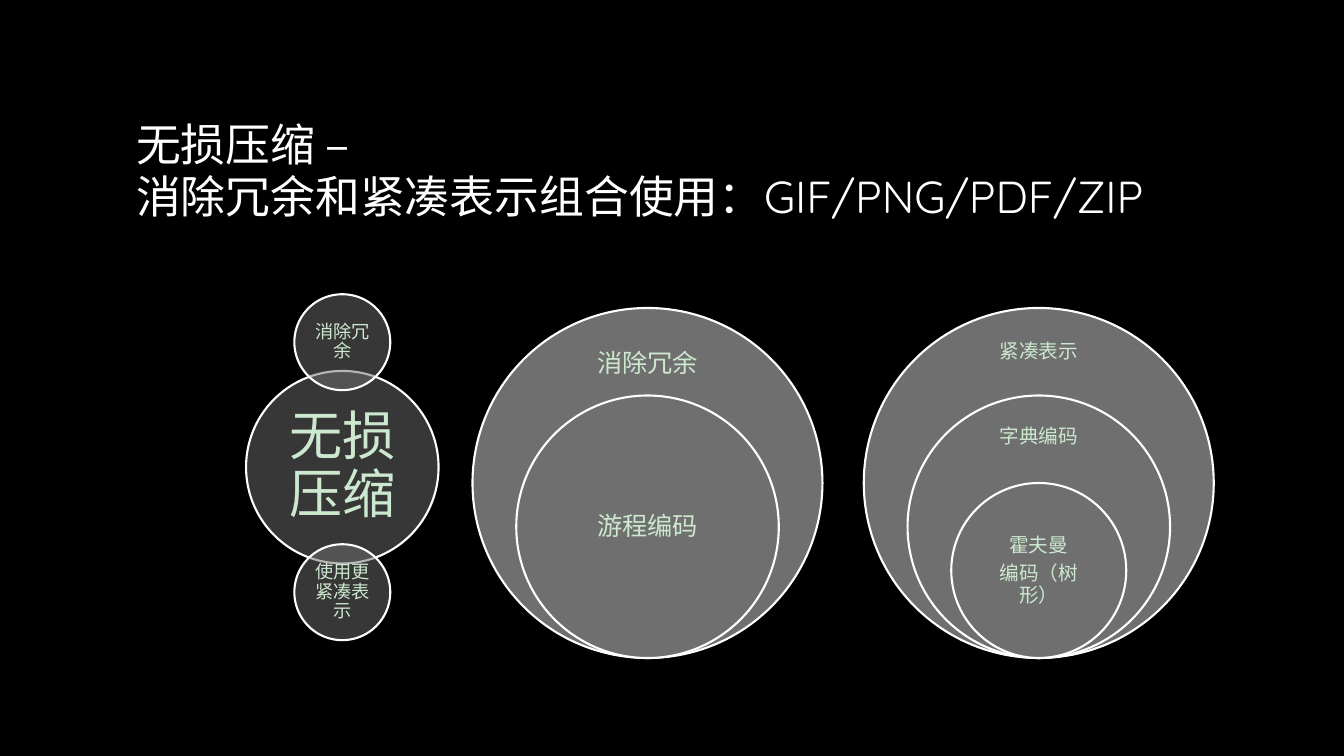
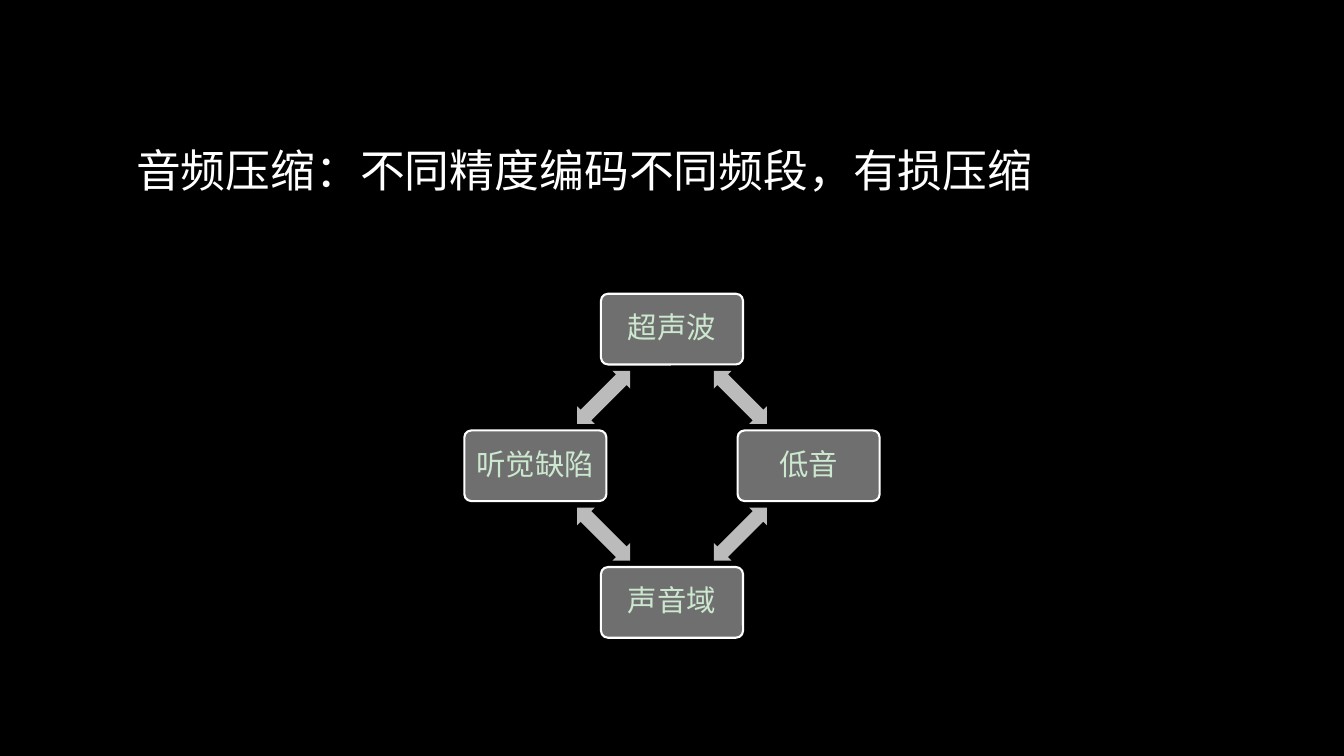
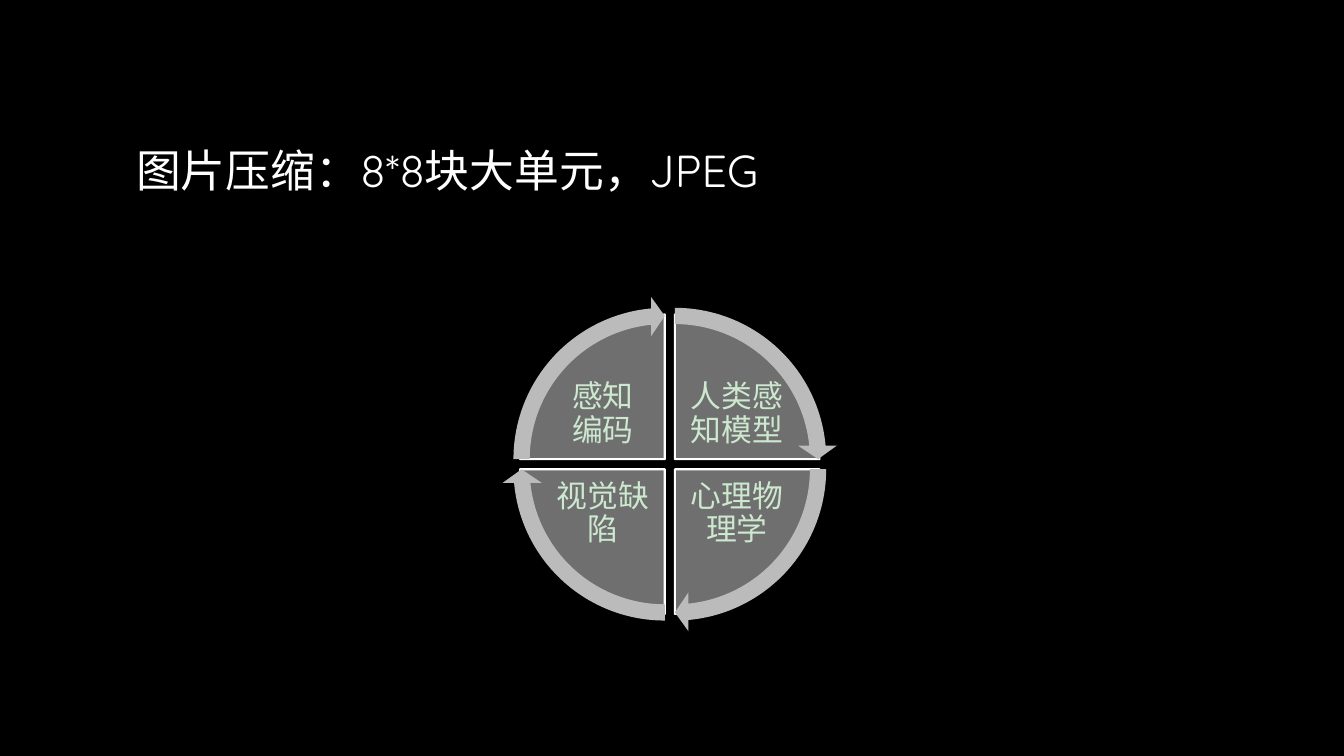
from math import cos, pi, sin

from lxml.etree import SubElement
from pptx import Presentation
from pptx.dml.color import RGBColor
from pptx.enum.shapes import MSO_SHAPE
from pptx.enum.text import MSO_ANCHOR, MSO_AUTO_SIZE, PP_ALIGN
from pptx.oxml.ns import qn
from pptx.util import Inches, Pt

BLACK = RGBColor(0x00, 0x00, 0x00)
WHITE = RGBColor(0xFF, 0xFF, 0xFF)
MINT = RGBColor(0xCC, 0xE8, 0xCF)
GRAY = RGBColor(0x6F, 0x6F, 0x6F)
SILVER = RGBColor(0xBB, 0xBB, 0xBB)
FONT = "Quicksand"

COLUMNS, ROWS = 96, 54
CELL = Inches(7.5) / ROWS
FULL_TURN = 216
QUARTER = FULL_TURN / 4


def cells(count):
    return round(count * CELL)


def frame_around(center_x, center_y, width, height):
    return (cells(center_x - width / 2), cells(center_y - height / 2),
            cells(width), cells(height))


def write(text_frame, text, *, size, color, align, spacing, after=0):
    text_frame.word_wrap = True
    text_frame.vertical_anchor = MSO_ANCHOR.MIDDLE
    text_frame.text = text
    for para in text_frame.paragraphs:
        para.alignment = align
        para.line_spacing = spacing
        para.space_after = Pt(after)
        for span in para.runs:
            span.font.name = FONT
            span.font.size = Pt(size)
            span.font.color.rgb = color


def add_shape(page, kind, center_x, center_y, width, height, *, fill=GRAY,
              outlined=True, alpha=None, rotation=0, adjustments=()):
    shape = page.shapes.add_shape(
        kind, *frame_around(center_x, center_y, width, height))
    shape.shadow.inherit = False
    shape.rotation = rotation
    for index, value in enumerate(adjustments):
        shape.adjustments[index] = value
    shape.fill.solid()
    shape.fill.fore_color.rgb = fill
    if alpha is not None:
        color = shape.fill._xPr.find(f"{qn('a:solidFill')}/{qn('a:srgbClr')}")
        SubElement(color, qn("a:alpha"), val=str(alpha * 1000))
    if outlined:
        shape.line.color.rgb = WHITE
        shape.line.width = Pt(1.5)
    else:
        shape.line.fill.background()


def add_label(page, text, center_x, center_y, width, height, *, size, inset):
    box = page.shapes.add_textbox(
        *frame_around(center_x, center_y, width, height))
    text_frame = box.text_frame
    text_frame.margin_left = text_frame.margin_right = cells(inset)
    text_frame.margin_top = text_frame.margin_bottom = cells(inset)
    write(text_frame, text, size=size, color=MINT, align=PP_ALIGN.CENTER,
          spacing=0.9, after=0.35 * size)


def add_page(deck, title):
    page = deck.slides.add_slide(deck.slide_layouts.get_by_name("Title Only"))
    box = page.shapes.title
    box.left, box.top = cells(9), cells(4.8)
    box.width, box.height = cells(78), cells(15)
    box.text_frame.auto_size = MSO_AUTO_SIZE.NONE
    write(box.text_frame, title, size=32, color=WHITE, align=PP_ALIGN.LEFT,
          spacing=0.95)
    return page


def add_venn_stack(page, center_x, center_y, circles):
    for text, offset, diameter, label_side, size, inset in circles:
        middle = center_y + offset
        add_shape(page, MSO_SHAPE.OVAL, center_x, middle, diameter, diameter,
                  alpha=50)
        add_label(page, text, center_x, middle, label_side, label_side,
                  size=size, inset=inset)


def add_nested_circles(page, center_x, layers, *, size, inset):
    bottom, outer = 47, 25
    for level, (text, label_y, width, height) in enumerate(layers):
        diameter = outer * (1 - level / 4)
        add_shape(page, MSO_SHAPE.OVAL, center_x, bottom - diameter / 2,
                  diameter, diameter)
        add_label(page, text, center_x, label_y, width, height,
                  size=size, inset=inset)


def add_diamond_cycle(page, center_x, center_y, names):
    reach = 9.76
    for index, name in enumerate(names):
        angle = (index - 1) * pi / 2
        node_x = center_x + reach * cos(angle)
        node_y = center_y + reach * sin(angle)
        add_shape(page, MSO_SHAPE.ROUNDED_RECTANGLE, node_x, node_y,
                  10.15, 5.05, adjustments=[0.1])
        add_label(page, name, node_x, node_y, 9.87, 4.75, size=21, inset=0.65)
        half_way = angle + pi / 4
        distance = reach * cos(pi / 4)
        add_shape(page, MSO_SHAPE.LEFT_RIGHT_ARROW,
                  center_x + distance * cos(half_way),
                  center_y + distance * sin(half_way), 5.35, 1.78,
                  fill=SILVER, outlined=False, rotation=45 + 90 * index,
                  adjustments=[0.6, 0.5])


def add_quadrant_cycle(page, center_x, center_y, names):
    gap, pie_size, arrow_size = 0.36, 20.66, 23.25
    sides = [(1, -1), (1, 1), (-1, 1), (-1, -1)]
    starts = [(3 + index) % 4 * QUARTER for index in range(4)]
    for name, (side_x, side_y), start in zip(names, sides, starts):
        add_shape(page, MSO_SHAPE.PIE, center_x + side_x * gap,
                  center_y + side_y * gap, pie_size, pie_size,
                  adjustments=[start, (start + QUARTER) % FULL_TURN])
        add_label(page, name, center_x + side_x * 4.79,
                  center_y + side_y * 3.56, 7.63, 5.69, size=22, inset=0.2)
    for (side_x, side_y), start in zip(sides, starts):
        add_shape(page, MSO_SHAPE.CIRCULAR_ARROW, center_x + side_x * gap,
                  center_y + side_y * gap, arrow_size, arrow_size,
                  fill=SILVER, outlined=False,
                  adjustments=[0.05, 3.28, start + 50.72, start, 0.06])


def main():
    deck = Presentation()
    deck.slide_width, deck.slide_height = cells(COLUMNS), cells(ROWS)
    background = deck.slide_master.background.fill
    background.solid()
    background.fore_color.rgb = BLACK

    page = add_page(
        deck, "无损压缩 –\v消除冗余和紧凑表示组合使用：GIF/PNG/PDF/ZIP")
    add_venn_stack(page, 24.45, 33.37, [
        ("无损压缩", 0, 13.75, 9.72, 38, 0.36),
        ("消除冗余", -8.93, 6.85, 4.82, 13, 0.14),
        ("使用更紧凑表示", 8.93, 6.85, 4.82, 13, 0.14),
    ])
    add_nested_circles(page, 46.25, [
        ("消除冗余", 26.03, 13.1, 4.25),
        ("游程编码", 37.66, 13.25, 9.36),
    ], size=18, inset=1)
    add_nested_circles(page, 74.2, [
        ("紧凑表示", 25.13, 8.7, 3.75),
        ("字典编码", 31.2, 8.7, 3.5),
        ("霍夫曼\n编码（树形）", 40.8, 8.85, 6.27),
    ], size=14, inset=0.8)

    page = add_page(deck, "音频压缩：不同精度编码不同频段，有损压缩")
    add_diamond_cycle(page, 48, 33.27,
                      ["超声波", "低音", "声音域", "听觉缺陷"])

    page = add_page(deck, "图片压缩：8*8块大单元，JPEG")
    add_quadrant_cycle(page, 47.85, 33.16,
                       ["人类感知模型", "心理物理学", "视觉缺陷", "感知\v编码"])

    deck.save("out.pptx")


if __name__ == "__main__":
    main()
